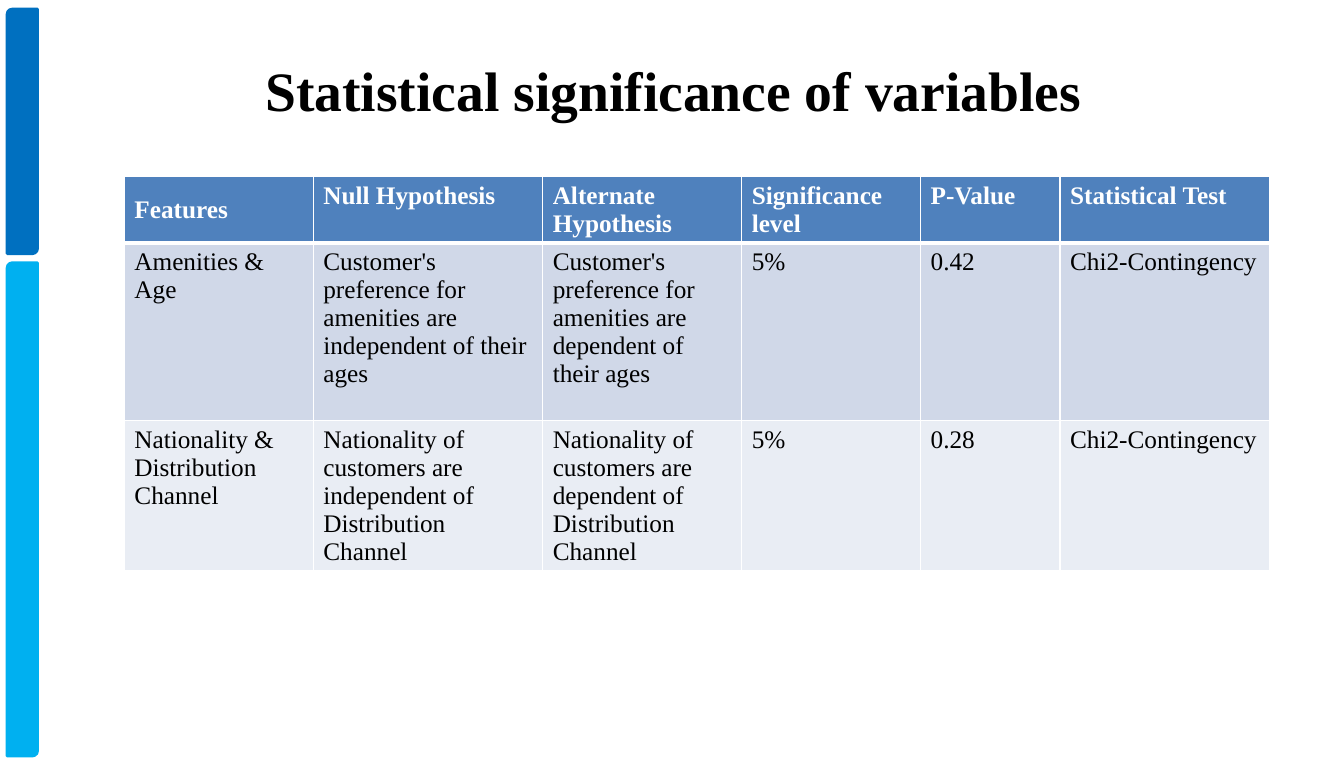
"""Build a slide with a table of hypothesis tests on customer variables."""
import dataclasses

import pptx
import pptx.dml.color
import pptx.enum.shapes
import pptx.enum.text
import pptx.oxml
import pptx.oxml.ns
import pptx.util


@dataclasses.dataclass(frozen=True)
class Theme:
    font: str = "Times New Roman"
    title_size: float = 39.6
    table_size: float = 18
    ink: str = "000000"
    paper: str = "FFFFFF"
    header: str = "4F81BD"
    bands: tuple = ("D0D8E8", "E9EDF4")
    bars: tuple = ("0070C0", "00B0F0")


THEME = Theme()
SLIDE_WIDTH = pptx.util.Inches(13.3)
SLIDE_HEIGHT = pptx.util.Inches(7.5)
BAR_SPANS = ((1.2, 32.27), (34.67, 65.07))
COLUMN_SHARES = (14.06, 17.07, 14.81, 13.31, 10.38, 15.56)
ROW_SHARES = (8.6, 23.47, 19.73)
ROWS = (
    ("Features", "Null Hypothesis", "Alternate Hypothesis",
     "Significance level", "P-Value", "Statistical Test"),
    ("Amenities & Age",
     "Customer's preference for amenities are independent of their ages",
     "Customer's preference for amenities are dependent of their ages",
     "5%", "0.42", "Chi2-Contingency"),
    ("Nationality &\nDistribution Channel",
     "Nationality of customers are independent of Distribution\nChannel",
     "Nationality of customers are dependent of Distribution Channel",
     "5%", "0.28", "Chi2-Contingency"),
)


def across(share):
    return round(SLIDE_WIDTH * share / 100)


def down(share):
    return round(SLIDE_HEIGHT * share / 100)


def frame(left, top, width, height):
    return across(left), down(top), across(width), down(height)


def rgb(value):
    return pptx.dml.color.RGBColor.from_string(value)


def style_font(font, size, color, bold):
    font.name = THEME.font
    font.size = pptx.util.Pt(size)
    font.color.rgb = rgb(color)
    font.bold = bold


def add_bar(page, top, height, color):
    bar = page.shapes.add_shape(
        pptx.enum.shapes.MSO_SHAPE.ROUND_2_DIAG_RECTANGLE,
        *frame(0.53, top, 2.26, height))
    bar.shadow.inherit = False
    bar.fill.solid()
    bar.fill.fore_color.rgb = rgb(color)
    bar.line.color.rgb = rgb(color)
    bar.line.width = pptx.util.Pt(2)


def set_title(page, text):
    title = page.shapes.title
    title.left, title.top, title.width, title.height = frame(
        9.4, 9.07, 81.43, 13.2)
    title.text = text
    box = title.text_frame
    box.word_wrap = True
    box.auto_size = pptx.enum.text.MSO_AUTO_SIZE.NONE
    box.vertical_anchor = pptx.enum.text.MSO_ANCHOR.MIDDLE
    box.margin_bottom = pptx.util.Inches(0.64)
    para = box.paragraphs[0]
    para.alignment = pptx.enum.text.PP_ALIGN.CENTER
    style_font(para.font, THEME.title_size, THEME.ink, True)


def add_borders(cell, widths):
    properties = cell._tc.get_or_add_tcPr()
    for side, points in widths.items():
        properties.append(pptx.oxml.parse_xml(
            f'<a:ln{side} {pptx.oxml.ns.nsdecls("a")} '
            f'w="{pptx.util.Pt(points)}"><a:solidFill>'
            f'<a:srgbClr val="{THEME.paper}"/></a:solidFill></a:ln{side}>'))


def fill_cell(cell, text, row):
    is_header = row == 0
    add_borders(cell, {"L": 1, "R": 1, "T": 3 if row == 1 else 1,
                       "B": 3 if is_header else 1})
    cell.fill.solid()
    cell.fill.fore_color.rgb = rgb(
        THEME.header if is_header else THEME.bands[row - 1])
    cell.text = text
    for para in cell.text_frame.paragraphs:
        style_font(para.font, THEME.table_size,
                   THEME.paper if is_header else THEME.ink, is_header)


def add_test_table(page):
    table = page.shapes.add_table(
        len(ROWS), len(COLUMN_SHARES),
        *frame(9.25, 23.33, sum(COLUMN_SHARES), sum(ROW_SHARES))).table
    for column, share in zip(table.columns, COLUMN_SHARES):
        column.width = across(share)
    for row, share in zip(table.rows, ROW_SHARES):
        row.height = down(share)
    for row, texts in enumerate(ROWS):
        for column, text in enumerate(texts):
            fill_cell(table.cell(row, column), text, row)
    table.cell(0, 0).text_frame.paragraphs[0].line_spacing = 1.5


def main():
    deck = pptx.Presentation()
    deck.slide_width, deck.slide_height = SLIDE_WIDTH, SLIDE_HEIGHT
    page = deck.slides.add_slide(deck.slide_layouts.get_by_name("Title Only"))
    for (top, height), color in zip(BAR_SPANS, THEME.bars):
        add_bar(page, top, height, color)
    set_title(page, "Statistical significance of variables")
    add_test_table(page)
    deck.save("out.pptx")


if __name__ == "__main__":
    main()
